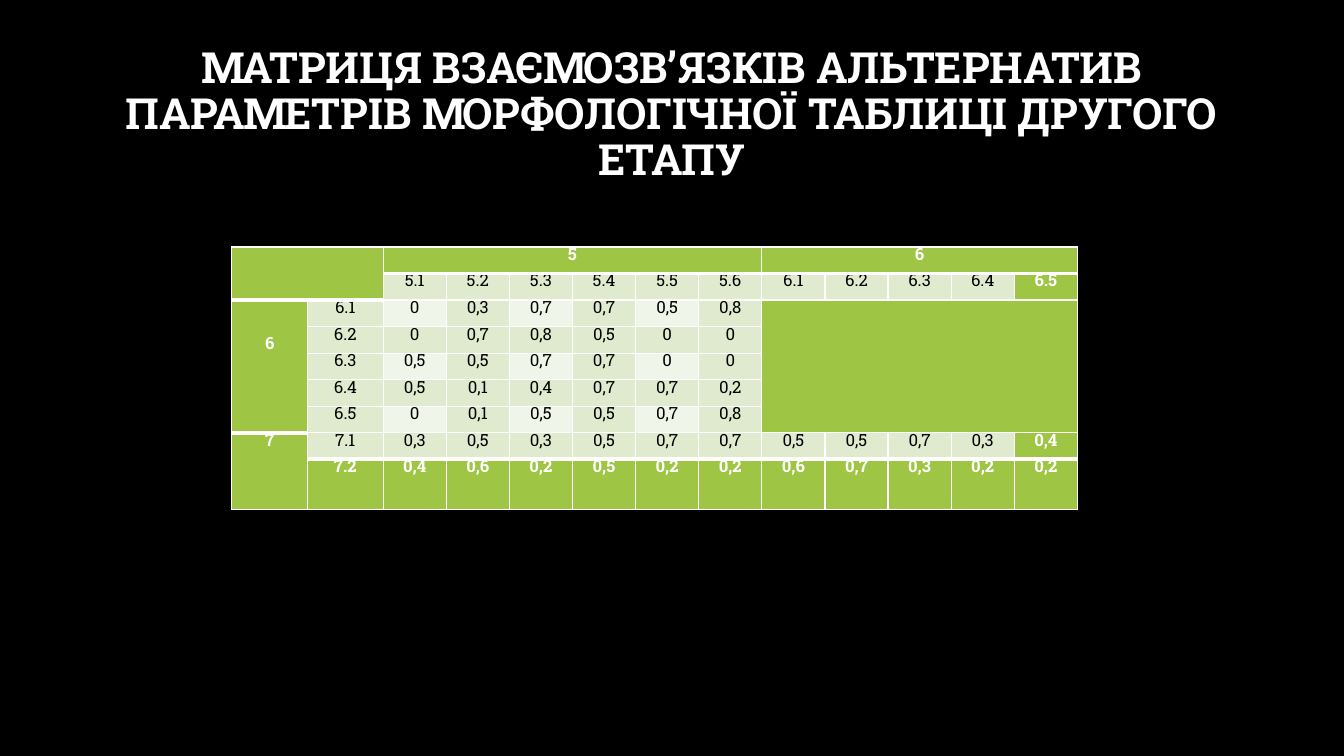
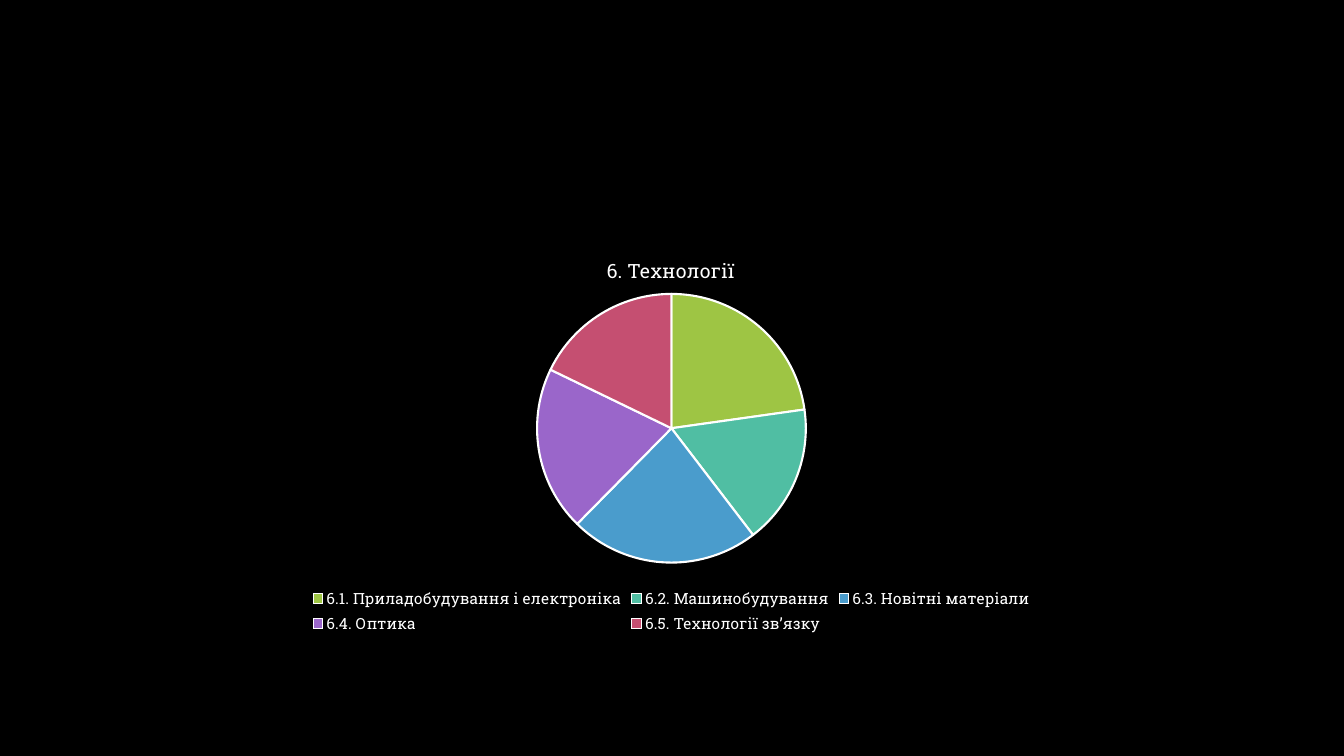
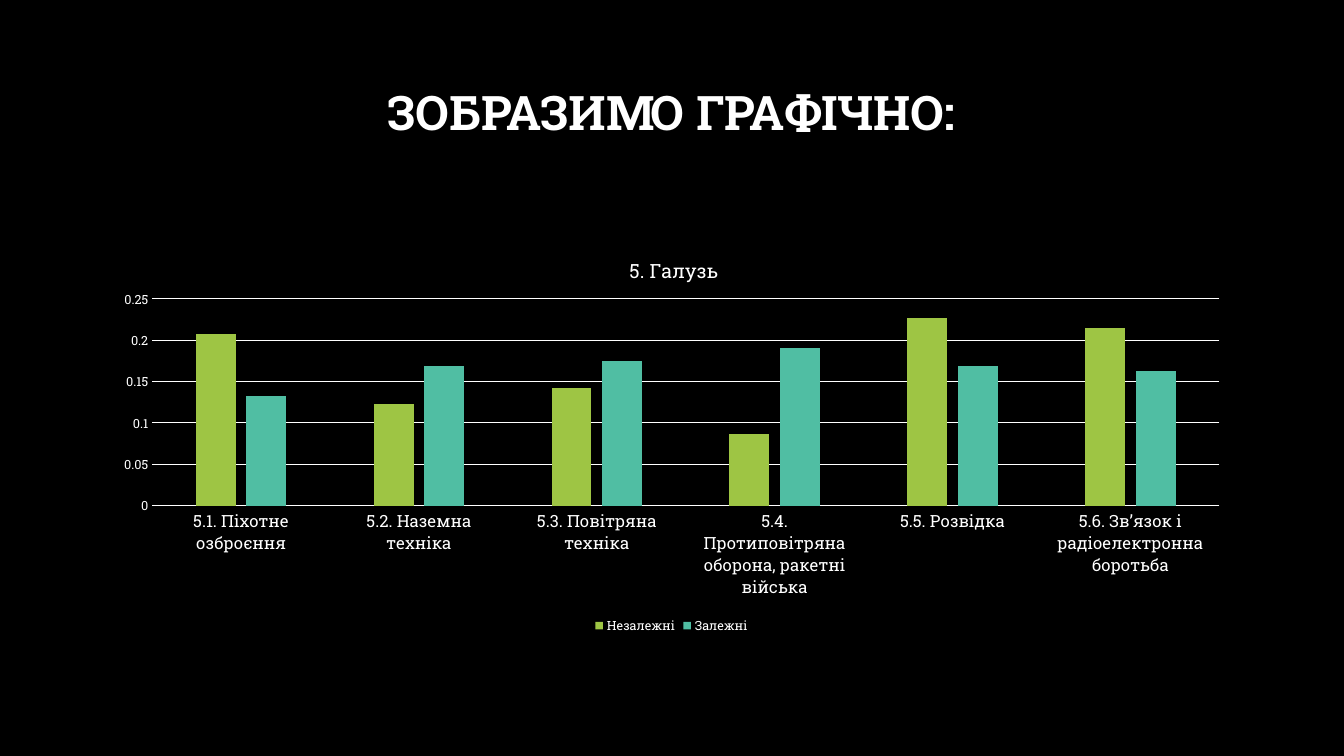
from lxml.etree import SubElement
from pptx import Presentation
from pptx.chart.data import CategoryChartData
from pptx.dml.color import RGBColor
from pptx.enum.chart import XL_CHART_TYPE as ChartType, XL_LEGEND_POSITION as LegendPosition
from pptx.enum.chart import XL_TICK_MARK as TickMark
from pptx.enum.text import MSO_ANCHOR as Anchor, MSO_AUTO_SIZE as AutoSize, PP_ALIGN as Align
from pptx.oxml import parse_xml
from pptx.oxml.ns import nsdecls, qn
from pptx.util import Inches, Pt

FONT = "Roboto Slab"
BLACK, WHITE = "000000", "FFFFFF"
GREEN, TEAL, BLUE, PURPLE, ROSE = "9EC544", "50BEA3", "4A9CCC", "9A66CA", "C54F71"
PALE, PALEST = "DFEACF", "F0F5E9"
TITLE_ONLY, BLANK = 5, 6
CHART_FRAME = [Inches(n) for n in (1, 2.29, 11.32, 4.04)]

# Row, first column and the texts that follow from there
MATRIX_TEXTS = [
    (0, 2, "5"),
    (0, 8, "6"),
    (1, 2, "5.1 5.2 5.3 5.4 5.5 5.6 6.1 6.2 6.3 6.4 6.5"),
    (2, 0, "6 6.1 0 0,3 0,7 0,7 0,5 0,8"),
    (3, 1, "6.2 0 0,7 0,8 0,5 0 0"),
    (4, 1, "6.3 0,5 0,5 0,7 0,7 0 0"),
    (5, 1, "6.4 0,5 0,1 0,4 0,7 0,7 0,2"),
    (6, 1, "6.5 0 0,1 0,5 0,5 0,7 0,8"),
    (7, 0, "7 7.1 0,3 0,5 0,3 0,5 0,7 0,7 0,5 0,5 0,7 0,3 0,4"),
    (8, 1, "7.2 0,4 0,6 0,2 0,5 0,2 0,2 0,6 0,7 0,3 0,2 0,2"),
]
# First and last cell of each merged area
MATRIX_MERGES = [((0, 0), (1, 1)), ((0, 2), (0, 7)), ((0, 8), (0, 12)),
                 ((2, 0), (6, 0)), ((2, 8), (6, 12)), ((7, 0), (8, 0))]
ROWS, COLUMNS = 9, 13


def color(value):
    return RGBColor.from_string(value)


def paint(fill, value):
    fill.solid()
    fill.fore_color.rgb = color(value)


def style_font(font, size, value=WHITE, bold=False):
    font.name, font.size, font.bold = FONT, Pt(size), bold
    font.color.rgb = color(value)


def style_line(line, width):
    paint(line.fill, WHITE)
    line.width = Pt(width)


def add_title(slide, text, size):
    title = slide.shapes.title
    title.left, title.top = Inches(1), Inches(0.67)
    title.width, title.height = Inches(11.32), Inches(1.45)
    frame = title.text_frame
    frame.word_wrap, frame.auto_size = True, AutoSize.NONE
    frame.vertical_anchor = Anchor.MIDDLE
    frame.margin_bottom = Inches(0.55)
    frame.text = text
    para = frame.paragraphs[0]
    para.alignment, para.line_spacing = Align.CENTER, 0.9
    style_font(para.font, size, bold=True)


def is_accent(row, column):
    """Tell whether a matrix cell is green with bold white text."""
    return (row in (0, ROWS - 1) or column in (0, COLUMNS - 1)
            or (row == 1 and column < 2) or (1 < row < 7 and column > 7))


def is_heavy_below(row, column):
    """Tell whether the line under a matrix cell is a thick one."""
    return (row == 0 or (row == 1 and column < 2)
            or (row == 6 and column == 0) or (row == 7 and column > 0))


def add_borders(cell, top, bottom):
    properties = cell._tc.get_or_add_tcPr()
    for side, width in (("L", 1), ("R", 1), ("T", top), ("B", bottom)):
        line = SubElement(properties, qn(f"a:ln{side}"), w=str(Pt(width)))
        fill = SubElement(line, qn("a:solidFill"))
        SubElement(fill, qn("a:srgbClr"), val=WHITE)


def style_cell(cell, row, column):
    accent = is_accent(row, column)
    add_borders(cell, 3 if is_heavy_below(row - 1, column) else 1,
                3 if is_heavy_below(row, column) else 1)
    light = row in (2, 4, 6) and column in (2, 4, 6)
    paint(cell.fill, GREEN if accent else PALEST if light else PALE)
    cell.margin_left = cell.margin_right = cell.margin_top = cell.margin_bottom = 0
    para = cell.text_frame.paragraphs[0]
    para.alignment, para.line_spacing = Align.CENTER, Pt(12.8)
    style_font(para.font, 12, WHITE if accent else BLACK, accent)


def add_matrix(slide):
    width, height = Inches(8.39), Inches(2.61)
    label_width, last_height = Inches(0.75), Inches(0.5)
    table = slide.shapes.add_table(ROWS, COLUMNS, Inches(2.3), Inches(2.45),
                                   width, height).table
    table.first_row = table.horz_banding = False
    for index, column in enumerate(table.columns):
        column.width = label_width if index < 2 else (width - 2 * label_width) // (COLUMNS - 2)
    for index, row in enumerate(table.rows):
        row.height = last_height if index == ROWS - 1 else (height - last_height) // (ROWS - 1)
    for row, first, texts in MATRIX_TEXTS:
        for column, text in enumerate(texts.split(), first):
            table.cell(row, column).text = text
    for row in range(ROWS):
        for column in range(COLUMNS):
            style_cell(table.cell(row, column), row, column)
    for first, last in MATRIX_MERGES:
        table.cell(*first).merge(table.cell(*last))
    table.cell(2, 0).margin_top = Inches(0.36)


def set_layout(parent, index, inner=False, **fractions):
    """Place a chart part by fractions of the chart's width and height."""
    old = parent.find(qn("c:layout"))
    if old is not None:
        parent.remove(old)
    layout = parse_xml(f"<c:layout {nsdecls('c')}><c:manualLayout/></c:layout>")
    manual = layout[0]
    if inner:
        SubElement(manual, qn("c:layoutTarget"), val="inner")
    for name in ("xMode", "yMode"):
        SubElement(manual, qn(f"c:{name}"), val="edge")
    for name, value in fractions.items():
        SubElement(manual, qn(f"c:{name}"), val=str(value))
    parent.insert(index, layout)


def add_chart(slide, kind, title, categories, series, legend_size, title_x, plot):
    data = CategoryChartData()
    data.categories = categories
    for name, values in series:
        data.add_series(name, values)
    chart = slide.shapes.add_chart(kind, *CHART_FRAME, data).chart
    style_font(chart.font, 10)
    chart.has_title = True
    chart.chart_title.text_frame.text = title
    style_font(chart.chart_title.text_frame.paragraphs[0].font, 14)
    chart.chart_title.include_in_layout = False
    set_layout(chart.chart_title.element, 1, x=title_x, y=0.05)
    set_layout(chart.element.chart.plotArea, 0, inner=True, **plot)
    chart.has_legend = True
    chart.legend.position = LegendPosition.BOTTOM
    chart.legend.include_in_layout = False
    style_font(chart.legend.font, legend_size)
    return chart


def add_technology_pie(slide):
    categories = ["6.1. Приладобудування і електроніка", "6.2. Машинобудування",
                  "6.3. Новітні матеріали", "6.4. Оптика", "6.5. Технології зв’язку"]
    chart = add_chart(slide, ChartType.PIE, "6. Технології", categories,
                      [("Series 1", (23, 17, 23, 20, 18))], 11, 0.44,
                      dict(x=0.38, y=0.155, w=0.24, h=0.66))
    chart.plots[0].vary_by_categories = True
    points = chart.plots[0].series[0].points
    for index, value in enumerate((GREEN, TEAL, BLUE, PURPLE, ROSE)):
        paint(points[index].format.fill, value)
        style_line(points[index].format.line, 1.5)


def add_industry_columns(slide):
    categories = ["5.1. Піхотне озброєння", "5.2. Наземна техніка", "5.3. Повітряна техніка",
                  "5.4. Протиповітряна оборона, ракетні війська", "5.5. Розвідка",
                  "5.6. Зв’язок і радіоелектронна боротьба"]
    series = [("Незалежні", (0.207, 0.123, 0.142, 0.086, 0.227, 0.215)),
              ("Залежні", (0.133, 0.169, 0.175, 0.191, 0.169, 0.163))]
    chart = add_chart(slide, ChartType.COLUMN_CLUSTERED, "5. Галузь", categories, series,
                      9, 0.46, dict(x=0.045, y=0.167, w=0.935, h=0.508))
    plot = chart.plots[0]
    plot.vary_by_categories = False
    plot.gap_width, plot.overlap = 219, -27
    for bars, value in zip(plot.series, (GREEN, TEAL)):
        paint(bars.format.fill, value)
    for axis, size in ((chart.category_axis, 12), (chart.value_axis, 9)):
        axis.major_tick_mark = axis.minor_tick_mark = TickMark.NONE
        style_font(axis.tick_labels.font, size)
    style_line(chart.category_axis.format.line, 0.75)
    values = chart.value_axis
    values.minimum_scale, values.maximum_scale, values.major_unit = 0, 0.25, 0.05
    values.tick_labels.number_format = "General"
    values.tick_labels.number_format_is_linked = False
    values.format.line.fill.background()
    style_line(values.major_gridlines.format.line, 0.75)


def main():
    deck = Presentation()
    deck.slide_width, deck.slide_height = Inches(13.33), Inches(7.5)
    paint(deck.slide_master.background.fill, BLACK)

    matrix, technology, industry = [
        deck.slides.add_slide(deck.slide_layouts[layout])
        for layout in (TITLE_ONLY, BLANK, TITLE_ONLY)]
    add_title(matrix, "МАТРИЦЯ ВЗАЄМОЗВ’ЯЗКІВ АЛЬТЕРНАТИВ ПАРАМЕТРІВ "
                      "МОРФОЛОГІЧНОЇ ТАБЛИЦІ ДРУГОГО ЕТАПУ", 30.6)
    add_matrix(matrix)
    add_technology_pie(technology)
    add_title(industry, "ЗОБРАЗИМО ГРАФІЧНО:", 34)
    add_industry_columns(industry)
    deck.save("out.pptx")


if __name__ == "__main__":
    main()
